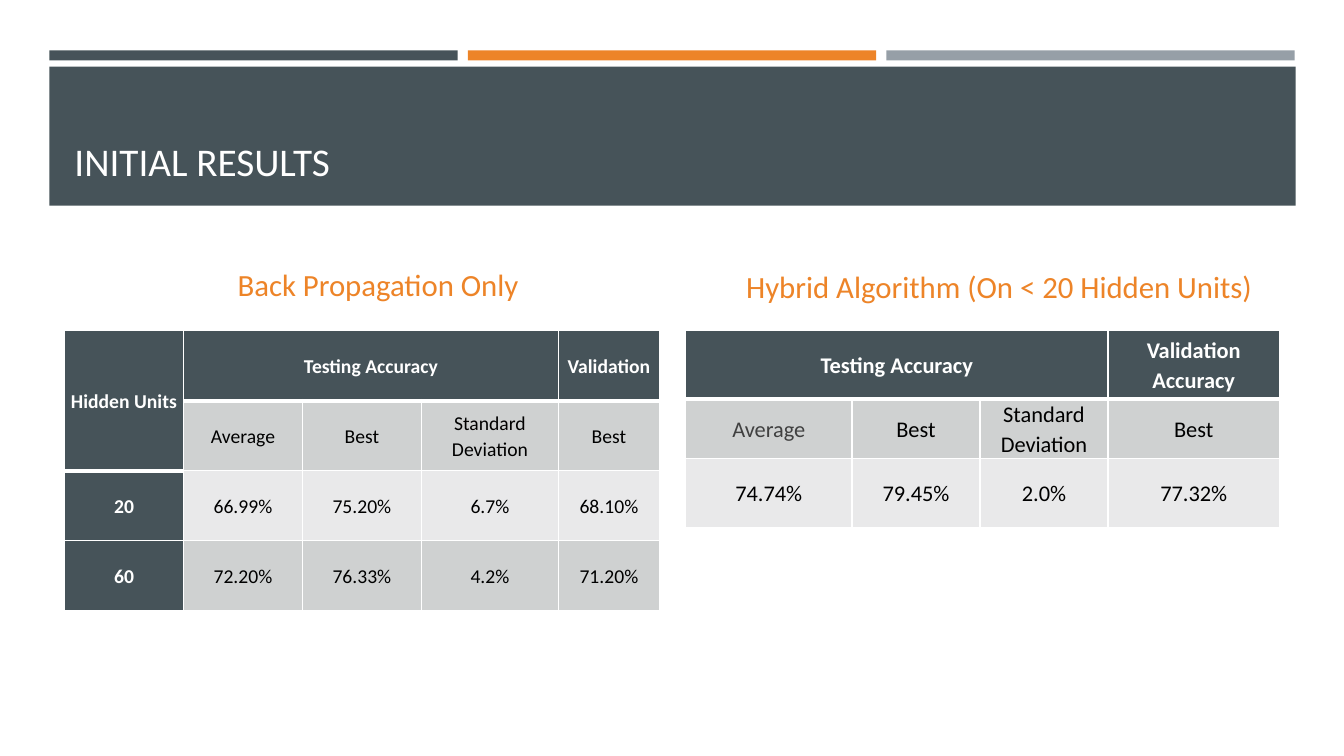
from dataclasses import dataclass

from lxml import etree
from pptx import Presentation
from pptx import util as u
from pptx.dml.color import RGBColor
from pptx.enum import shapes, text
from pptx.oxml import ns

HUES = {
    "slate": "465359", "orange": "ED8428", "steel": "969FA7", "white": "FFFFFF",
    "black": "000000", "gray": "404040", "dark": "CFD1D1", "light": "E9E9EA",
}
FONT = "Calibri"
MID = text.PP_ALIGN.CENTER


@dataclass
class Bar:
    left: float
    top: float
    width: float
    height: float
    hue: str


@dataclass
class Label:
    words: str
    left: float
    top: float
    width: float
    height: float
    size: int
    hue: str
    align: text.PP_ALIGN
    after: int = 0


@dataclass
class Grid:
    left: float
    cols: list[float]
    rows: list[float]
    size: int
    heads: list[int]  # header rows in each column
    side: int  # number of leading header columns
    spans: list[tuple[int, int, int, int]]
    cells: list[list[str]]
    tints: dict[tuple[int, int], str]


def color(hue: str) -> RGBColor:
    return RGBColor.from_string(HUES[hue])


def add_run(para, words: str, size: int, hue: str, bold: bool = False) -> None:
    run = para.add_run()
    run.text = words
    run.font.name = FONT
    run.font.size = u.Pt(size)
    run.font.bold = bold
    run.font.color.rgb = color(hue)


def add_bar(slide, bar: Bar) -> None:
    box = slide.shapes.add_shape(
        shapes.MSO_SHAPE.RECTANGLE, u.Inches(bar.left), u.Inches(bar.top),
        u.Inches(bar.width), u.Inches(bar.height))
    box.shadow.inherit = False
    box.fill.solid()
    box.fill.fore_color.rgb = color(bar.hue)
    box.line.fill.background()


def add_label(slide, item: Label) -> None:
    box = slide.shapes.add_textbox(
        u.Inches(item.left), u.Inches(item.top),
        u.Inches(item.width), u.Inches(item.height))
    frame = box.text_frame
    frame.word_wrap = True
    frame.vertical_anchor = text.MSO_ANCHOR.BOTTOM
    para = frame.paragraphs[0]
    para.alignment = item.align
    para.space_after = u.Pt(item.after)
    add_run(para, item.words, item.size, item.hue)


def add_edges(cell, top: int, bottom: int) -> None:
    props = cell._tc.get_or_add_tcPr()
    edges = {"lnL": 1, "lnR": 1, "lnT": top, "lnB": bottom}
    for spot, (name, width) in enumerate(edges.items()):
        line = etree.Element(ns.qn(f"a:{name}"), w=str(u.Pt(width)))
        fill = etree.SubElement(line, ns.qn("a:solidFill"))
        etree.SubElement(fill, ns.qn("a:srgbClr"), val=HUES["white"])
        props.insert(spot, line)


def add_grid(slide, grid: Grid) -> None:
    table = slide.shapes.add_table(
        len(grid.rows), len(grid.cols), u.Inches(grid.left), u.Inches(3.28),
        u.Inches(sum(grid.cols)), u.Inches(sum(grid.rows))).table
    table.first_row = table.horz_banding = False
    for col, width in zip(table.columns, grid.cols):
        col.width = u.Inches(width)
    for row, height in zip(table.rows, grid.rows):
        row.height = u.Inches(height)
    for r, row in enumerate(grid.cells):
        for c, words in enumerate(row):
            cell = table.cell(r, c)
            depth = grid.heads[c]
            head = r < depth or c < grid.side
            band = "dark" if r % 2 else "light"
            cell.fill.solid()
            cell.fill.fore_color.rgb = color("slate" if head else band)
            add_edges(cell, 3 if r == depth else 1, 3 if r < depth else 1)
            cell.margin_left = cell.margin_right = u.Inches(0.04)
            cell.margin_top = cell.margin_bottom = 0
            cell.vertical_anchor = text.MSO_ANCHOR.MIDDLE
            if words:
                para = cell.text_frame.paragraphs[0]
                para.alignment = MID
                para.line_spacing = 1.07
                para.space_after = u.Pt(8)
                hue = "white" if head else grid.tints.get((r, c), "black")
                add_run(para, words, grid.size, hue, head)
    for r, c, end_r, end_c in grid.spans:
        table.cell(r, c).merge(table.cell(end_r, end_c))


# Top stripes and title band
STRIPES = ["slate", "orange", "steel"]
BARS = [Bar(0.49 + 4.15 * i, 0.5, 4.05, 0.1, hue) for i, hue in enumerate(STRIPES)]
BARS.append(Bar(0.49, 0.66, 12.36, 1.38, "slate"))

# Title and table headings
LABELS = [
    Label("INITIAL RESULTS", 0.64, 0.8, 12.06, 1.08, 28, "white", text.PP_ALIGN.LEFT),
    Label("Back Propagation Only", 0.97, 2.46, 5.56, 0.59, 22, "orange", MID, 6),
    Label("Hybrid Algorithm (On < 20 Hidden Units)",
          7.13, 2.46, 5.56, 0.61, 22, "orange", MID, 6),
]

# Result tables
GRIDS = [
    Grid(0.64, [1.18, 1.18, 1.18, 1.36, 1], [0.695] * 4, 14, [2, 1, 1, 1, 1], 1,
         [(0, 0, 1, 0), (0, 1, 0, 3)],
         [["Hidden Units", "Testing Accuracy", "", "", "Validation"],
          ["", "Average", "Best", "Standard Deviation", "Best"],
          ["20", "66.99%", "75.20%", "6.7%", "68.10%"],
          ["60", "72.20%", "76.33%", "4.2%", "71.20%"]], {}),
    Grid(6.8, [1.65, 1.27, 1.27, 1.7], [0.68, 0.59, 0.68], 16, [1] * 4, 0,
         [(0, 0, 0, 2)],
         [["Testing Accuracy", "", "", "Validation Accuracy"],
          ["Average", "Best", "Standard Deviation", "Best"],
          ["74.74%", "79.45%", "2.0%", "77.32%"]], {(1, 0): "gray"}),
]


def main() -> None:
    deck = Presentation()
    deck.slide_width = u.Inches(13.33)
    deck.slide_height = u.Inches(7.5)
    slide = deck.slides.add_slide(deck.slide_layouts[6])
    for bar in BARS:
        add_bar(slide, bar)
    for item in LABELS:
        add_label(slide, item)
    for grid in GRIDS:
        add_grid(slide, grid)
    deck.save("out.pptx")


if __name__ == "__main__":
    main()
